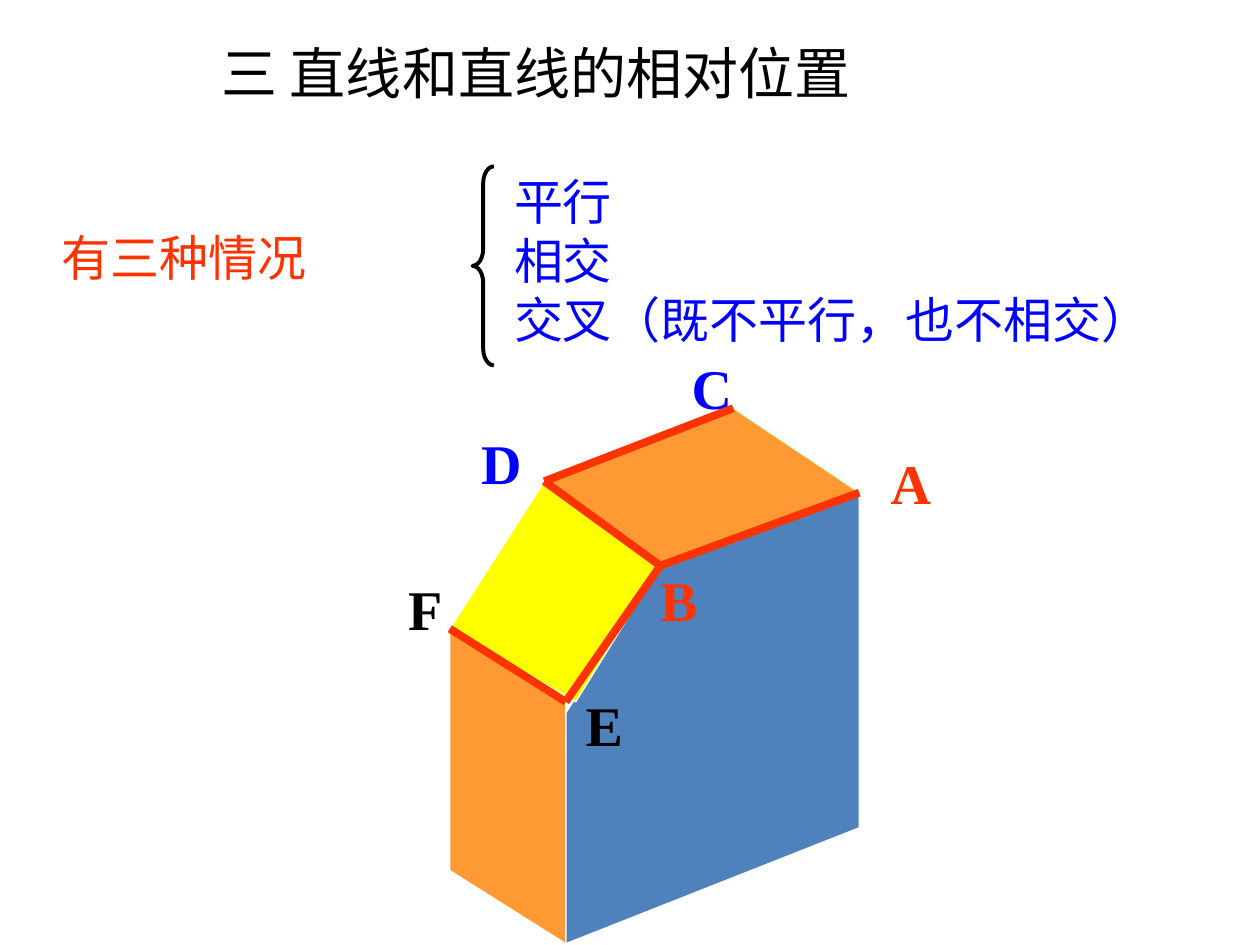
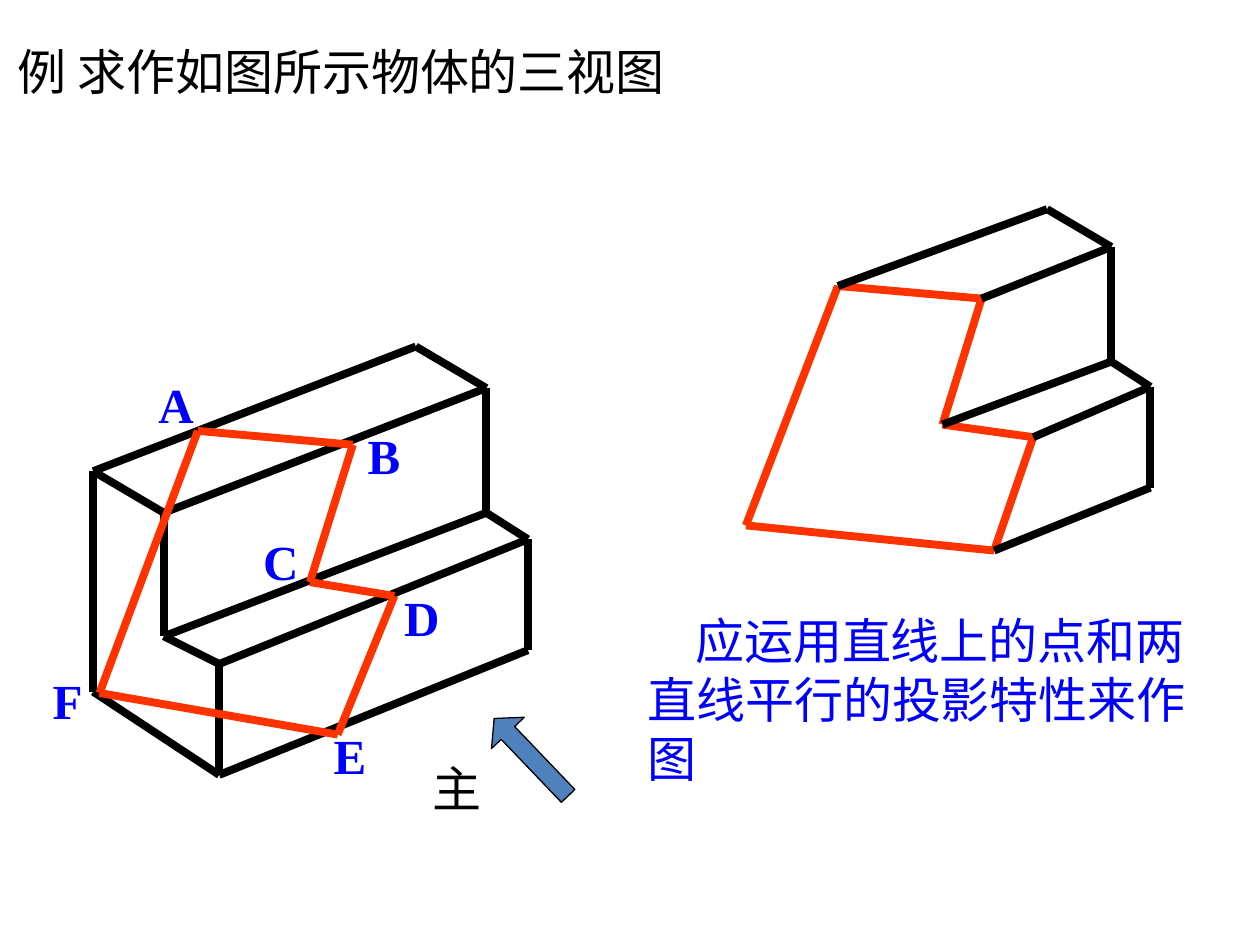
import itertools
from dataclasses import dataclass

import lxml.etree
import pptx
import pptx.dml.color
import pptx.enum.shapes
import pptx.enum.text
import pptx.oxml.ns
import pptx.presentation
import pptx.shapes.base
import pptx.slide
import pptx.util

EMU_PER_PX = 9144
SLIDE_SIZE = (1000, 750)
COLORS = {
    "ink": "000000",
    "red": "FF3300",
    "blue": "0000FF",
    "steel": "4F81BD",
    "orange": "FF9933",
    "yellow": "FFFF00",
    "white": "FFFFFF",
    "mint": "CCFFCC",
}
CHINESE = "Noto Sans CJK SC"
LATIN = "Times New Roman"
EDGE_PT = 4.5
OUTLINE_PT = 0.75

Point = tuple[int, int]
Box = tuple[int, int, int, int]
Align = pptx.enum.text.PP_ALIGN
Anchor = pptx.enum.text.MSO_ANCHOR
Shapes = pptx.enum.shapes.MSO_SHAPE


@dataclass(frozen=True)
class TextStyle:
    size: int
    color: str
    font: str = CHINESE
    bold: bool = False
    align: Align = Align.LEFT


@dataclass(frozen=True)
class VertexLabel:
    letter: str
    left: int
    top: int
    color: str = "blue"


@dataclass(frozen=True)
class Face:
    corners: tuple[Point, ...]
    fill: str
    outline: str = "white"


def px(length: int) -> pptx.util.Emu:
    return pptx.util.Emu(length * EMU_PER_PX)


def rgb(color: str) -> pptx.dml.color.RGBColor:
    return pptx.dml.color.RGBColor.from_string(COLORS[color])


def place(shape: pptx.shapes.base.BaseShape, box: Box) -> None:
    shape.left, shape.top, shape.width, shape.height = map(px, box)


def write(shape: pptx.shapes.base.BaseShape, text: str, style: TextStyle,
          anchor: Anchor = Anchor.TOP, wrap: bool = True) -> None:
    frame = shape.text_frame
    frame.text = text
    frame.word_wrap = wrap
    frame.auto_size = pptx.enum.text.MSO_AUTO_SIZE.NONE
    frame.vertical_anchor = anchor
    for paragraph in frame.paragraphs:
        paragraph.alignment = style.align
        for run in paragraph.runs:
            run.font.size = pptx.util.Pt(style.size)
            run.font.bold = style.bold
            run.font.color.rgb = rgb(style.color)
            run.font.name = style.font
            east_asian = lxml.etree.SubElement(
                run.font._element, pptx.oxml.ns.qn("a:ea"))
            east_asian.set("typeface", style.font)


def add_text(slide: pptx.slide.Slide, box: Box, text: str, style: TextStyle,
             anchor: Anchor = Anchor.TOP, wrap: bool = True) -> pptx.shapes.base.BaseShape:
    caption = slide.shapes.add_textbox(*map(px, box))
    write(caption, text, style, anchor, wrap)
    return caption


def add_title(slide: pptx.slide.Slide, box: Box, text: str, style: TextStyle) -> None:
    place(slide.shapes.title, box)
    write(slide.shapes.title, text, style, Anchor.MIDDLE)


def add_labels(slide: pptx.slide.Slide, labels: list[VertexLabel], size: int) -> None:
    for label in labels:
        style = TextStyle(size, label.color, LATIN, bold=True)
        add_text(slide, (label.left, label.top, 50, 2 * size), label.letter, style, wrap=False)


def add_edge(slide: pptx.slide.Slide, start: Point, end: Point, color: str) -> None:
    edge = slide.shapes.add_connector(
        pptx.enum.shapes.MSO_CONNECTOR.STRAIGHT, *map(px, start + end))
    edge.line.color.rgb = rgb(color)
    edge.line.width = pptx.util.Pt(EDGE_PT)
    lxml.etree.SubElement(edge._element.spPr, pptx.oxml.ns.qn("a:effectLst"))


def add_chain(slide: pptx.slide.Slide, points: list[Point], color: str,
              closed: bool = False) -> None:
    for start, end in itertools.pairwise(points + points[:1] if closed else points):
        add_edge(slide, start, end, color)


def add_prism(slide: pptx.slide.Slide, near: list[Point], far: list[Point],
              near_color: str) -> None:
    add_chain(slide, near, near_color, closed=True)
    add_chain(slide, far, "ink")
    for start, end in zip(near, far):
        add_edge(slide, start, end, "ink")


def outline(shape: pptx.shapes.base.BaseShape, fill: str | None, line: str,
            width: float) -> None:
    shape.shadow.inherit = False
    if fill:
        shape.fill.solid()
        shape.fill.fore_color.rgb = rgb(fill)
    else:
        shape.fill.background()
    shape.line.color.rgb = rgb(line)
    shape.line.width = pptx.util.Pt(width)


def add_face(slide: pptx.slide.Slide, face: Face) -> None:
    builder = slide.shapes.build_freeform(*face.corners[0], scale=EMU_PER_PX)
    builder.add_line_segments(face.corners[1:], close=True)
    outline(builder.convert_to_shape(), face.fill, face.outline, OUTLINE_PT)


def build_relative_positions(deck: pptx.presentation.Presentation) -> None:
    slide = deck.slides.add_slide(deck.slide_layouts[1])
    add_title(slide, (0, 0, 851, 115), "三 直线和直线的相对位置",
              TextStyle(32, "ink", align=Align.CENTER))

    brace = slide.shapes.add_shape(Shapes.LEFT_BRACE, *map(px, (375, 132, 17, 158)))
    brace.adjustments[0] = 0.79
    outline(brace, None, "ink", 2.25)
    add_text(slide, (39, 176, 325, 63), "有三种情况", TextStyle(28, "red"))

    cases = slide.placeholders[1]
    place(cases, (398, 131, 600, 150))
    write(cases, "平行\n相交\n交叉（既不平行，也不相交）", TextStyle(28, "blue"))
    for case in cases.text_frame.paragraphs:
        case.space_before = pptx.util.Pt(0)
        properties = case._p.get_or_add_pPr()
        properties.set("marL", "0")
        properties.set("indent", "0")
        lxml.etree.SubElement(properties, pptx.oxml.ns.qn("a:buNone"))

    a, b, c, d, e, f = (682, 391), (524, 449), (582, 324), (432, 382), (449, 557), (357, 499)
    base = (449, 749)
    for face in (
        Face((base, (682, 657), a, b, (449, 566)), "steel"),
        Face((base, (357, 691), f, e), "orange"),
        Face((f, d, b, (457, 557)), "yellow"),
        Face((d, c, a, b), "orange", "mint"),
    ):
        add_face(slide, face)
    add_labels(slide, [
        VertexLabel("A", 697, 351, "red"),
        VertexLabel("B", 514, 444, "red"),
        VertexLabel("C", 539, 276),
        VertexLabel("D", 372, 335),
        VertexLabel("E", 455, 543, "ink"),
        VertexLabel("F", 314, 451, "ink"),
    ], 32)
    add_chain(slide, [a, b, e, f], "red")
    add_chain(slide, [b, d, c], "red")


def build_three_view_example(deck: pptx.presentation.Presentation) -> None:
    slide = deck.slides.add_slide(deck.slide_layouts[5])
    add_title(slide, (4, 28, 736, 57), "例 求作如图所示物体的三视图", TextStyle(28, "ink"))

    step_profile = [(74, 374), (130, 407), (130, 505), (174, 527), (174, 615), (74, 549)]
    step_end = [(330, 275), (386, 308), (386, 407), (419, 428), (419, 516)]
    add_prism(slide, step_profile, step_end, "ink")
    cutting_section = [(157, 342), (280, 353), (246, 462), (313, 473), (268, 583), (79, 550)]
    add_chain(slide, cutting_section, "red", closed=True)
    add_labels(slide, [
        VertexLabel("A", 116, 292),
        VertexLabel("B", 282, 333),
        VertexLabel("C", 199, 417),
        VertexLabel("D", 311, 461),
        VertexLabel("E", 255, 571),
        VertexLabel("F", 32, 527),
    ], 28)

    view_arrow = slide.shapes.add_shape(Shapes.LEFT_ARROW, *map(px, (379, 583, 85, 36)))
    view_arrow.rotation = 46.3
    view_arrow.adjustments[0] = 0.41
    view_arrow.adjustments[1] = 0.44
    outline(view_arrow, "steel", "ink", OUTLINE_PT)
    add_text(slide, (333, 597, 59, 57), "主", TextStyle(28, "ink", align=Align.CENTER),
             Anchor.MIDDLE, wrap=False)

    cut_face = [(665, 227), (779, 237), (748, 337), (820, 347), (789, 437), (592, 417)]
    cut_end = [(831, 166), (882, 196), (882, 287), (913, 307), (913, 387)]
    add_prism(slide, cut_face, cut_end, "red")

    hint = add_text(slide, (504, 476, 483, 157),
                    "应运用直线上的点和两直线平行的投影特性来作图",
                    TextStyle(28, "blue"), Anchor.MIDDLE)
    hint.text_frame.paragraphs[0]._p.get_or_add_pPr().set("indent", str(px(38)))


def main() -> None:
    deck = pptx.Presentation()
    deck.slide_width, deck.slide_height = map(px, SLIDE_SIZE)
    build_relative_positions(deck)
    build_three_view_example(deck)
    deck.save("out.pptx")


if __name__ == "__main__":
    main()
